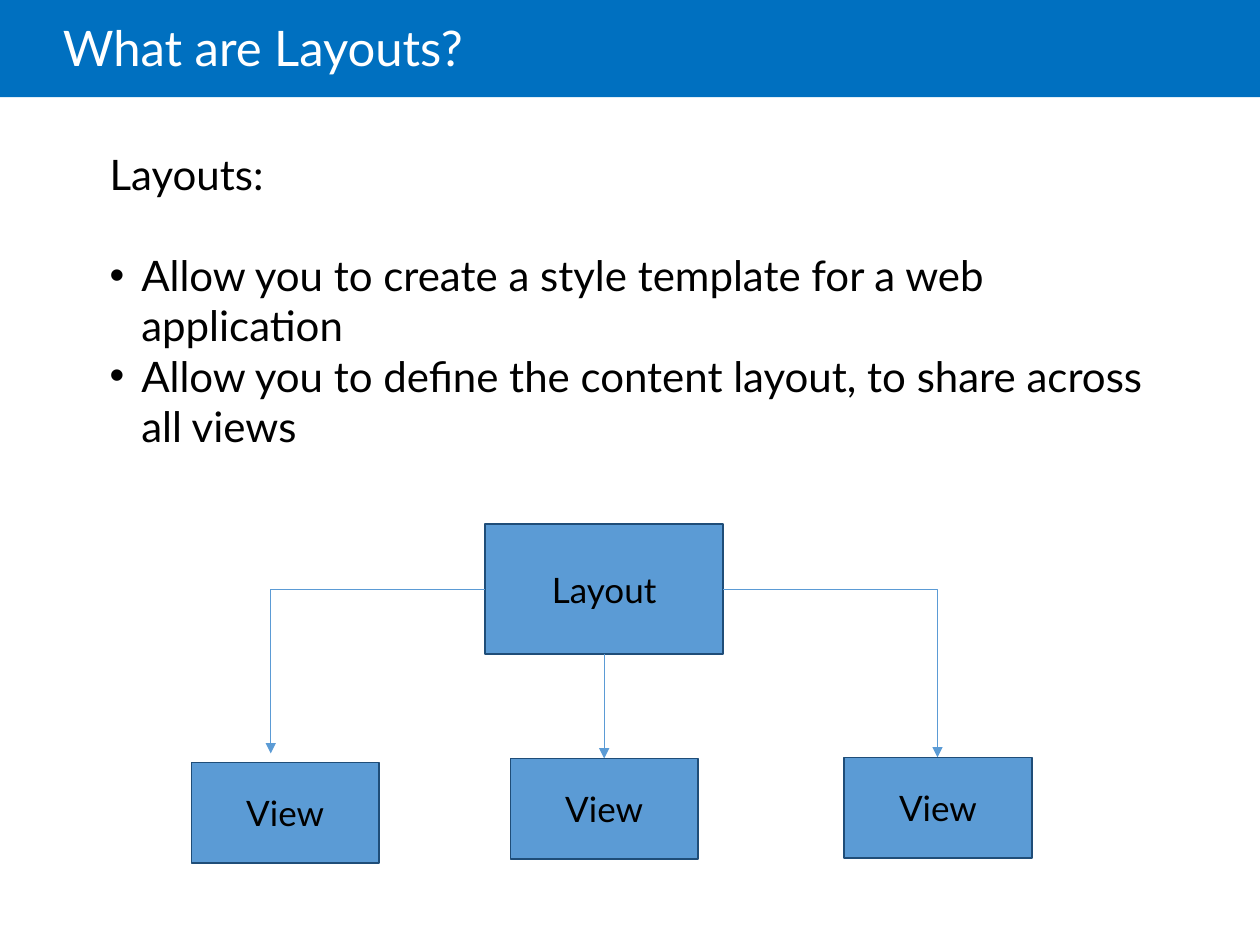
from dataclasses import dataclass

from lxml import etree
from pptx import Presentation
from pptx.dml.color import RGBColor
from pptx.enum.shapes import MSO_CONNECTOR, MSO_SHAPE
from pptx.enum.text import MSO_ANCHOR, PP_ALIGN
from pptx.oxml.ns import qn
from pptx.util import Cm, Pt

RECTANGLE = MSO_SHAPE.RECTANGLE
STRAIGHT = MSO_CONNECTOR.STRAIGHT
ELBOW = MSO_CONNECTOR.ELBOW
MIDDLE = MSO_ANCHOR.MIDDLE
CENTER = PP_ALIGN.CENTER
BLANK_LAYOUT = 6


@dataclass(frozen=True)
class Theme:
    font: str = "Lato"
    banner: RGBColor = RGBColor(0x00, 0x70, 0xC0)
    node: RGBColor = RGBColor(0x5B, 0x9B, 0xD5)
    border: RGBColor = RGBColor(0x1F, 0x4D, 0x78)
    ink: RGBColor = RGBColor(0x00, 0x00, 0x00)
    title_ink: RGBColor = RGBColor(0xFF, 0xFF, 0xFF)
    title_size: Pt = Pt(28)
    body_size: Pt = Pt(24)
    node_size: Pt = Pt(20)


THEME = Theme()


def add_span(para, text, size, color):
    span = para.add_run()
    span.text = text
    span.font.name = THEME.font
    span.font.size = size
    span.font.color.rgb = color


def add_rectangle(page, left, top, width, height, fill):
    box = page.shapes.add_shape(RECTANGLE, Cm(left), Cm(top), Cm(width), Cm(height))
    box.shadow.inherit = False
    box.fill.solid()
    box.fill.fore_color.rgb = fill
    box.line.fill.background()
    return box


def add_text_frame(page, left, top, width, height):
    box = page.shapes.add_textbox(Cm(left), Cm(top), Cm(width), Cm(height))
    box.text_frame.word_wrap = True
    return box.text_frame


def add_title(page, text):
    add_rectangle(page, 0, 0, 25.4, 1.96, THEME.banner)
    frame = add_text_frame(page, 1.27, 0, 21.59, 2.06)
    frame.margin_left = 0
    frame.vertical_anchor = MIDDLE
    para = frame.paragraphs[0]
    para.line_spacing = 0.85
    add_span(para, text, THEME.title_size, THEME.title_ink)


def set_bullet(para):
    properties = para._p.get_or_add_pPr()
    properties.set("marL", str(Cm(0.64)))
    properties.set("indent", str(-Cm(0.64)))
    etree.SubElement(properties, qn("a:buFont"), typeface="Arial")
    etree.SubElement(properties, qn("a:buChar"), char="•")


def add_body(page, heading, points):
    frame = add_text_frame(page, 1.96, 2.87, 21.39, 6.4)
    add_span(frame.paragraphs[0], heading, THEME.body_size, THEME.ink)
    for index, point in enumerate(points):
        para = frame.add_paragraph()
        if index == 0:
            para.space_before = Pt(28.8)
        set_bullet(para)
        add_span(para, point, THEME.body_size, THEME.ink)


def add_node(page, text, left, top, width, height):
    box = add_rectangle(page, left, top, width, height, THEME.node)
    box.line.color.rgb = THEME.border
    box.line.width = Pt(1)
    box.text_frame.vertical_anchor = MIDDLE
    para = box.text_frame.paragraphs[0]
    para.alignment = CENTER
    para.space_after = Pt(10)
    add_span(para, text, THEME.node_size, THEME.ink)


def add_arrow(page, kind, start, end):
    arrow = page.shapes.add_connector(kind, *map(Cm, start + end))
    arrow.line.color.rgb = THEME.node
    arrow.line.width = Pt(0.5)
    etree.SubElement(arrow.line._get_or_add_ln(), qn("a:tailEnd"), type="triangle")
    properties = arrow._element.spPr
    etree.SubElement(properties, qn("a:effectLst"))
    if kind == ELBOW:
        properties.find(qn("a:prstGeom")).set("prst", "bentConnector2")


def add_diagram(page):
    left, top, width, height = 9.78, 10.57, 4.8, 2.62
    center, middle = left + width / 2, top + height / 2
    add_node(page, "Layout", left, top, width, height)
    add_arrow(page, ELBOW, (left, middle), (5.46, 15.19))
    add_arrow(page, ELBOW, (left + width, middle), (18.9, 15.27))
    add_arrow(page, STRAIGHT, (center, top + height), (center, 15.29))
    for view_left, view_top in ((3.86, 15.37), (10.29, 15.29), (17.02, 15.27)):
        add_node(page, "View", view_left, view_top, 3.78, 2.03)


def main():
    deck = Presentation()
    deck.slide_width = Cm(25.4)
    deck.slide_height = Cm(19.05)
    page = deck.slides.add_slide(deck.slide_layouts[BLANK_LAYOUT])
    add_title(page, "What are Layouts?")
    add_diagram(page)
    add_body(page, "Layouts:", (
        "Allow you to create a style template for a web application",
        "Allow you to define the content layout, to share across all views",
    ))
    deck.save("out.pptx")


if __name__ == "__main__":
    main()
